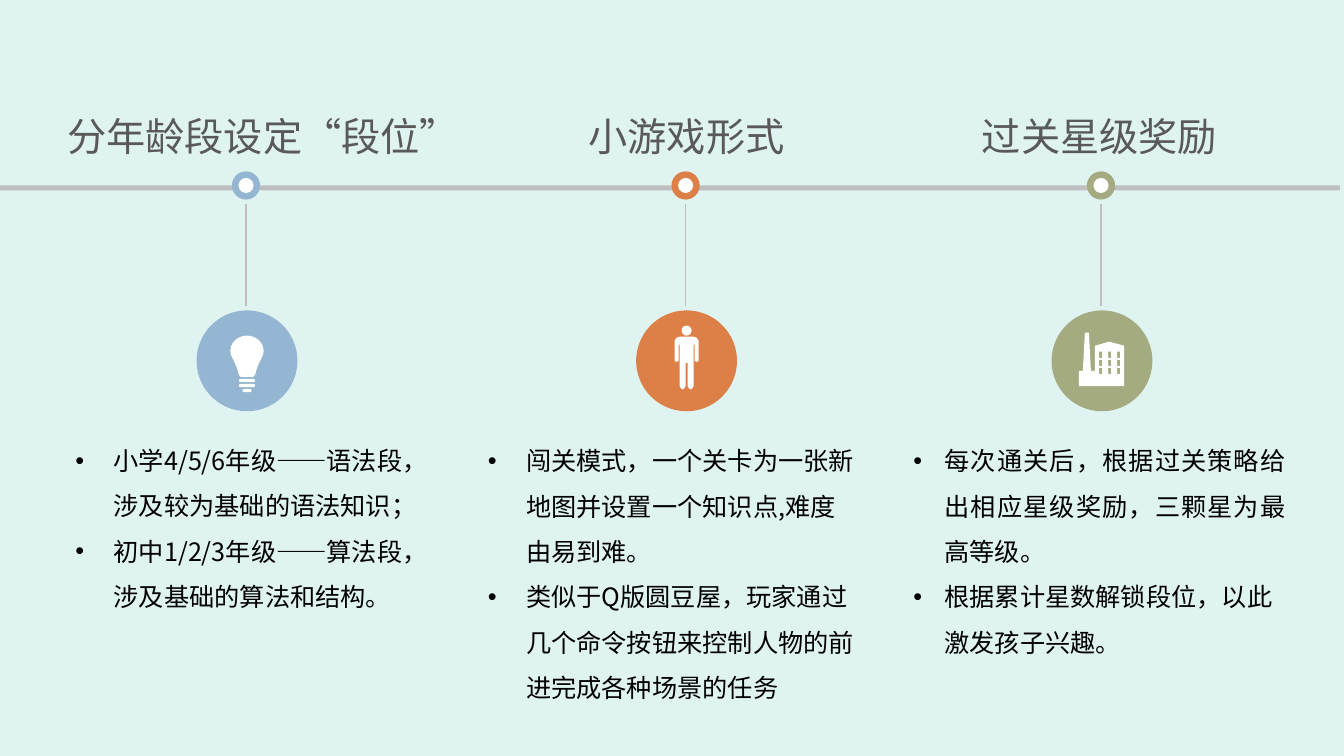
import math
from lxml import etree
from pptx import Presentation
from pptx import util as u
from pptx.dml.color import RGBColor
from pptx.enum import lang, shapes, text
from pptx.oxml import ns

FONT = "Noto Sans CJK SC"
COLORS = {
    "background": "DFF3F1", "rail": "BFBFBF", "white": "FFFFFF",
    "heading": "595959", "body": "000000",
    "blue": "94B6D2", "orange": "DD8047", "olive": "A5AB81",
}
RAIL_Y = 1.84
DISC_Y = 3.58


def color(name):
    return RGBColor.from_string(COLORS[name])


def paint(shape, name):
    shape.shadow.inherit = False
    shape.fill.solid()
    shape.fill.fore_color.rgb = color(name)
    shape.line.fill.background()


def add_block(page, kind, box, name):
    shape = page.shapes.add_shape(kind, *map(u.Inches, box))
    paint(shape, name)
    return shape


def add_circle(page, x, y, size, name):
    box = (x - size / 2, y - size / 2, size, size)
    return add_block(page, shapes.MSO_SHAPE.OVAL, box, name)


def add_outline(page, x, y, contours):
    placed = [[(u.Inches(x + dx), u.Inches(y + dy)) for dx, dy in contour]
              for contour in contours]
    builder = page.shapes.build_freeform(*placed[0][0])
    builder.add_line_segments(placed[0][1:], close=True)
    for contour in placed[1:]:
        builder.move_to(*contour[0])
        builder.add_line_segments(contour[1:], close=True)
    paint(builder.convert_to_shape(), "white")


def add_bulb(page, x, y):
    angles = [math.radians(degrees) for degrees in range(160, 381, 10)]
    glass = [(0.165 * math.cos(angle), -0.1 + 0.15 * math.sin(angle)) for angle in angles]
    base = [(0.13, 0), (0.1, 0.07), (0.08, 0.14), (0.06, 0.16),
            (-0.06, 0.16), (-0.08, 0.14), (-0.1, 0.07), (-0.13, 0)]
    add_outline(page, x, y, [glass + base])
    for row, width in enumerate((0.16, 0.16, 0.09)):
        bar = add_block(page, shapes.MSO_SHAPE.ROUNDED_RECTANGLE,
                        (x - width / 2, y + 0.18 + 0.05 * row, width, 0.03), "white")
        bar.adjustments[0] = 0.5


def add_person(page, x, y):
    half = [(0.07, -0.24), (0.1, -0.23), (0.12, -0.2), (0.12, 0), (0.1, 0.01),
            (0.08, 0), (0.08, -0.16), (0.07, -0.16), (0.07, 0.25), (0.05, 0.28),
            (0.03, 0.28), (0.01, 0.25), (0.01, 0.02)]
    add_outline(page, x, y, [half + [(-dx, dy) for dx, dy in reversed(half)]])
    add_circle(page, x, y - 0.3, 0.1, "white")


def add_factory(page, x, y):
    walls = [(0.22, -0.15), (0.07, -0.19), (-0.07, -0.15), (-0.07, 0.1),
             (-0.11, 0.1), (-0.13, -0.28), (-0.17, -0.28), (-0.19, 0.1),
             (-0.23, 0.1), (-0.23, 0.25), (0.22, 0.25)]
    windows = [[(left, top), (left, top + 0.06), (left + 0.03, top + 0.06), (left + 0.03, top)]
               for left in (-0.03, 0.06, 0.15) for top in (-0.09, -0.01, 0.07)]
    add_outline(page, x, y, [walls] + windows)


def add_text(page, box, lines, size, name):
    frame = page.shapes.add_textbox(*map(u.Inches, box)).text_frame
    frame.word_wrap = True
    frame.text = "\n".join(lines)
    for para in frame.paragraphs:
        for span in para.runs:
            span.font.size = u.Pt(size)
            span.font.name = FONT
            span.font.color.rgb = color(name)
            span.font.language_id = lang.MSO_LANGUAGE_ID.SIMPLIFIED_CHINESE
            east = etree.SubElement(span.font._element, ns.qn("a:ea"))
            east.set("typeface", FONT)
    return frame


def add_bullets(page, box, lines, indent):
    frame = add_text(page, box, lines, 18, "body")
    for para in frame.paragraphs:
        para.line_spacing = 1.5
        properties = para._p.get_or_add_pPr()
        properties.set("marL", str(u.Inches(indent)))
        properties.set("indent", str(u.Inches(-indent)))
        font = etree.SubElement(properties, ns.qn("a:buFont"))
        font.set("typeface", "Arial")
        bullet = etree.SubElement(properties, ns.qn("a:buChar"))
        bullet.set("char", "•")
    return frame


def add_rail(page, box):
    add_block(page, shapes.MSO_SHAPE.RECTANGLE, box, "rail")


def add_stage(page, stage):
    x, name = stage["axis"], stage["color"]
    add_circle(page, x, RAIL_Y, 0.28, name)
    add_circle(page, x, RAIL_Y, 0.15, "white")
    stem = page.shapes.add_connector(
        shapes.MSO_CONNECTOR.STRAIGHT,
        *map(u.Inches, (x, RAIL_Y + 0.18, x, RAIL_Y + 1.2)))
    stem.line.color.rgb = color("rail")
    stem.line.width = u.Pt(1)
    etree.SubElement(stem._element.spPr, ns.qn("a:effectLst"))
    add_circle(page, x + 0.01, DISC_Y, 1, name)
    stage["icon"](page, x + 0.01, DISC_Y)
    left, width = stage["heading_box"]
    add_text(page, (left, 1.07, width, 0.57), [stage["heading"]], 28, "heading")
    left, height = stage["body_box"]
    frame = add_bullets(page, (left, 4.22, 3.89, height), stage["lines"], stage["indent"])
    if stage["justified"]:
        frame.paragraphs[0].alignment = text.PP_ALIGN.JUSTIFY


STAGES = [
    {"axis": 2.44, "color": "blue", "icon": add_bulb,
     "heading": "分年龄段设定“段位”", "heading_box": (0.57, 4.16),
     "body_box": (0.65, 1.87), "indent": 0.38, "justified": False,
     "lines": ["小学4/5/6年级——语法段，涉及较为基础的语法知识；",
               "初中1/2/3年级——算法段，涉及基础的算法和结构。"]},
    {"axis": 6.8, "color": "orange", "icon": add_person,
     "heading": "小游戏形式", "heading_box": (5.74, 2.25),
     "body_box": (4.74, 2.78), "indent": 0.38, "justified": False,
     "lines": ["闯关模式，一个关卡为一张新地图并设置一个知识点,难度由易到难。",
               "类似于Q版圆豆屋，玩家通过几个命令按钮来控制人物的前进完成各种场景的任务"]},
    {"axis": 10.92, "color": "olive", "icon": add_factory,
     "heading": "过关星级奖励", "heading_box": (9.64, 2.58),
     "body_box": (8.96, 2.32), "indent": 0.31, "justified": True,
     "lines": ["每次通关后，根据过关策略给出相应星级奖励，三颗星为最高等级。",
               "根据累计星数解锁段位，以此激发孩子兴趣。"]},
]


def main():
    deck = Presentation()
    deck.slide_width, deck.slide_height = u.Inches(13.33), u.Inches(7.5)
    page = deck.slides.add_slide(deck.slide_layouts[6])
    page.background.fill.solid()
    page.background.fill.fore_color.rgb = color("background")
    add_rail(page, (0, RAIL_Y, 13.29, 0.05))
    for stage in STAGES:
        add_stage(page, stage)
    deck.save("out.pptx")


if __name__ == "__main__":
    main()
